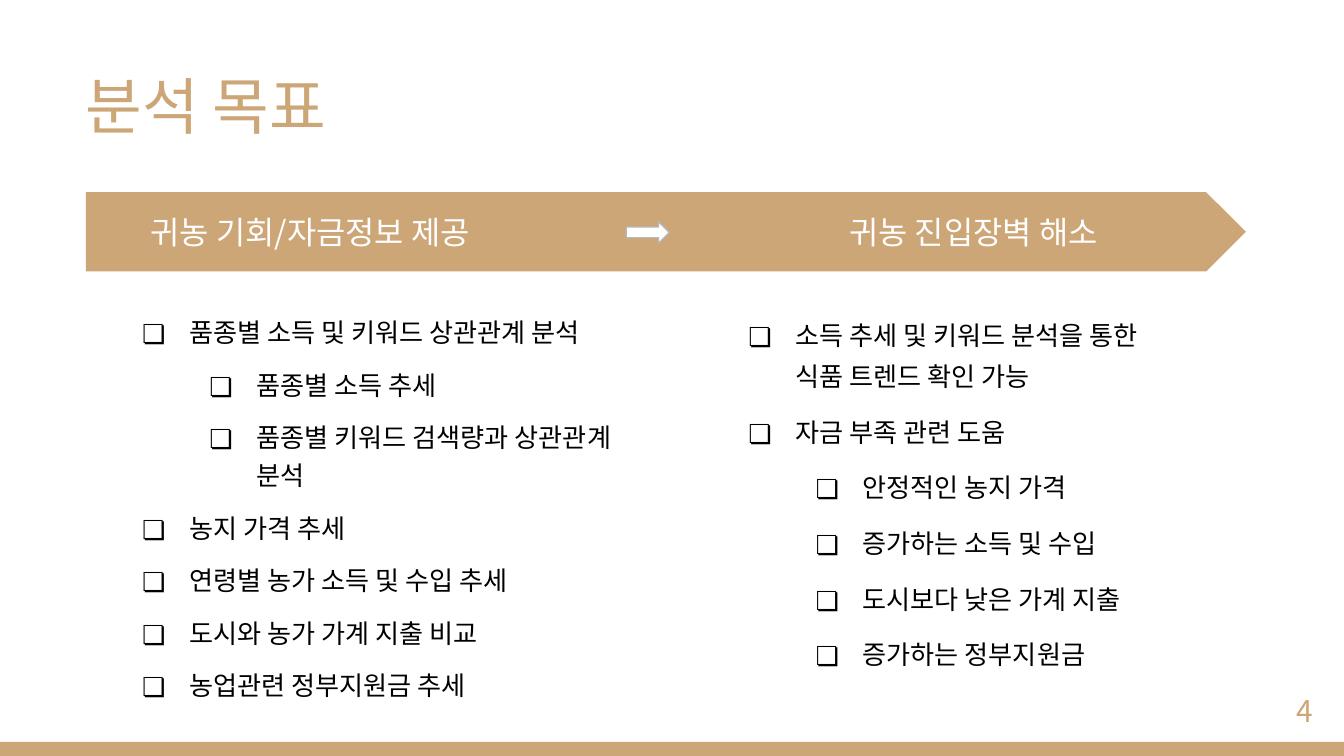
import pptx
import pptx.dml.color
import pptx.enum.shapes
import pptx.enum.text
import pptx.oxml.ns
import pptx.util
from lxml import etree

Inches = pptx.util.Inches
Pt = pptx.util.Pt
qn = pptx.oxml.ns.qn
SHAPES = pptx.enum.shapes.MSO_SHAPE
ANCHOR = pptx.enum.text.MSO_ANCHOR
ALIGN = pptx.enum.text.PP_ALIGN

FONT = "Noto Sans CJK KR"
COLORS = {"tan": "CCA677", "white": "FFFFFF", "black": "000000", "gray": "B7B7B7"}

# Each goal is (level, text).
ANALYSES = [
    (0, "품종별 소득 및 키워드 상관관계 분석"),
    (1, "품종별 소득 추세"),
    (1, "품종별 키워드 검색량과 상관관계 분석"),
    (0, "농지 가격 추세"),
    (0, "연령별 농가 소득 및 수입 추세"),
    (0, "도시와 농가 가계 지출 비교"),
    (0, "농업관련 정부지원금 추세"),
]
BENEFITS = [
    (0, "소득 추세 및 키워드 분석을 통한 식품 트렌드 확인 가능"),
    (0, "자금 부족 관련 도움"),
    (1, "안정적인 농지 가격"),
    (1, "증가하는 소득 및 수입"),
    (1, "도시보다 낮은 가계 지출"),
    (1, "증가하는 정부지원금"),
]


def rgb(name):
    return pptx.dml.color.RGBColor.from_string(COLORS[name])


def add_block(slide, kind, left, top, width, height, fill, line=None):
    block = slide.shapes.add_shape(
        kind, Inches(left), Inches(top), Inches(width), Inches(height))
    block.shadow.inherit = False
    block.fill.solid()
    block.fill.fore_color.rgb = rgb(fill)
    if line:
        block.line.color.rgb = rgb(line)
        block.line.width = Pt(0.75)
    else:
        block.line.fill.background()


def add_frame(slide, left, top, width, height, anchor=ANCHOR.MIDDLE):
    """Add a wrapping text box with even margins and return its text frame."""
    frame = slide.shapes.add_textbox(
        Inches(left), Inches(top), Inches(width), Inches(height)).text_frame
    frame.word_wrap = True
    frame.vertical_anchor = anchor
    frame.margin_left = frame.margin_right = Inches(0.1)
    frame.margin_top = frame.margin_bottom = Inches(0.1)
    return frame


def add_run(paragraph, text, size, color):
    run = paragraph.add_run()
    run.text = text
    run.font.size = Pt(size)
    run.font.name = FONT
    run.font.color.rgb = rgb(color)
    etree.SubElement(run.font._element, qn("a:ea"), typeface=FONT)


def set_bullet(paragraph, level):
    properties = paragraph._p.get_or_add_pPr()
    properties.set("marL", str(Inches(0.5 * (level + 1))))
    properties.set("indent", str(Inches(-0.35)))
    bullet_color = etree.SubElement(properties, qn("a:buClr"))
    etree.SubElement(bullet_color, qn("a:srgbClr"), val=COLORS["black"])
    etree.SubElement(properties, qn("a:buFont"), typeface=FONT)
    etree.SubElement(properties, qn("a:buChar"), char="❏")


def add_title(slide, left, top, width, height):
    frame = add_frame(slide, left, top, width, height)
    add_run(frame.paragraphs[0], "분석 목표", 33, "tan")


def add_banner(slide, left, top, width, height):
    add_block(slide, SHAPES.PENTAGON, left, top, width, height, "tan")
    frame = add_frame(slide, left + 0.25, top + 0.01, width - 0.52, height - 0.02)
    frame.margin_left = Inches(0.23)
    headings = frame.paragraphs[0]
    tabs = etree.SubElement(headings._p.get_or_add_pPr(), qn("a:tabLst"))
    etree.SubElement(tabs, qn("a:tab"), pos=str(Inches(5.2)), algn="l")
    add_run(headings, "귀농 기회/자금정보 제공\t귀농 진입장벽 해소", 17, "white")
    add_block(slide, SHAPES.RIGHT_ARROW, left + 4.02, top + 0.22, 0.32, 0.16,
              "white", "gray")


def add_goals(slide, left, top, width, height, goals, line_spacing):
    frame = add_frame(slide, left, top, width, height, ANCHOR.TOP)
    for index, (level, text) in enumerate(goals):
        goal = frame.paragraphs[0] if index == 0 else frame.add_paragraph()
        goal.level = level
        goal.line_spacing = line_spacing
        goal.space_before = Pt(8 if index else 0)
        goal.space_after = Pt(8 if index == len(goals) - 1 else 0)
        set_bullet(goal, level)
        add_run(goal, text, 14, "black")


def add_page_number(slide, left, top, width, height):
    number = add_frame(slide, left, top, width, height).paragraphs[0]
    number.alignment = ALIGN.RIGHT
    number.line_spacing = 0.8
    add_run(number, "4", 16, "tan")


def main():
    deck = pptx.Presentation()
    deck.slide_width = Inches(10)
    deck.slide_height = Inches(10 * 9 / 16)
    slide = deck.slides.add_slide(deck.slide_layouts[6])
    add_block(slide, SHAPES.RECTANGLE, 0, 5.52, 10, 0.11, "tan")
    add_title(slide, 0.54, 0.33, 4.13, 0.9)
    add_page_number(slide, 9.27, 5.1, 0.6, 0.43)
    add_banner(slide, 0.64, 1.43, 8.63, 0.59)
    add_goals(slide, 0.81, 2.21, 4.13, 3.1, ANALYSES, 1.2)
    add_goals(slide, 5.32, 2.21, 3.55, 3.1, BENEFITS, 1.3)
    deck.save("out.pptx")


if __name__ == "__main__":
    main()
